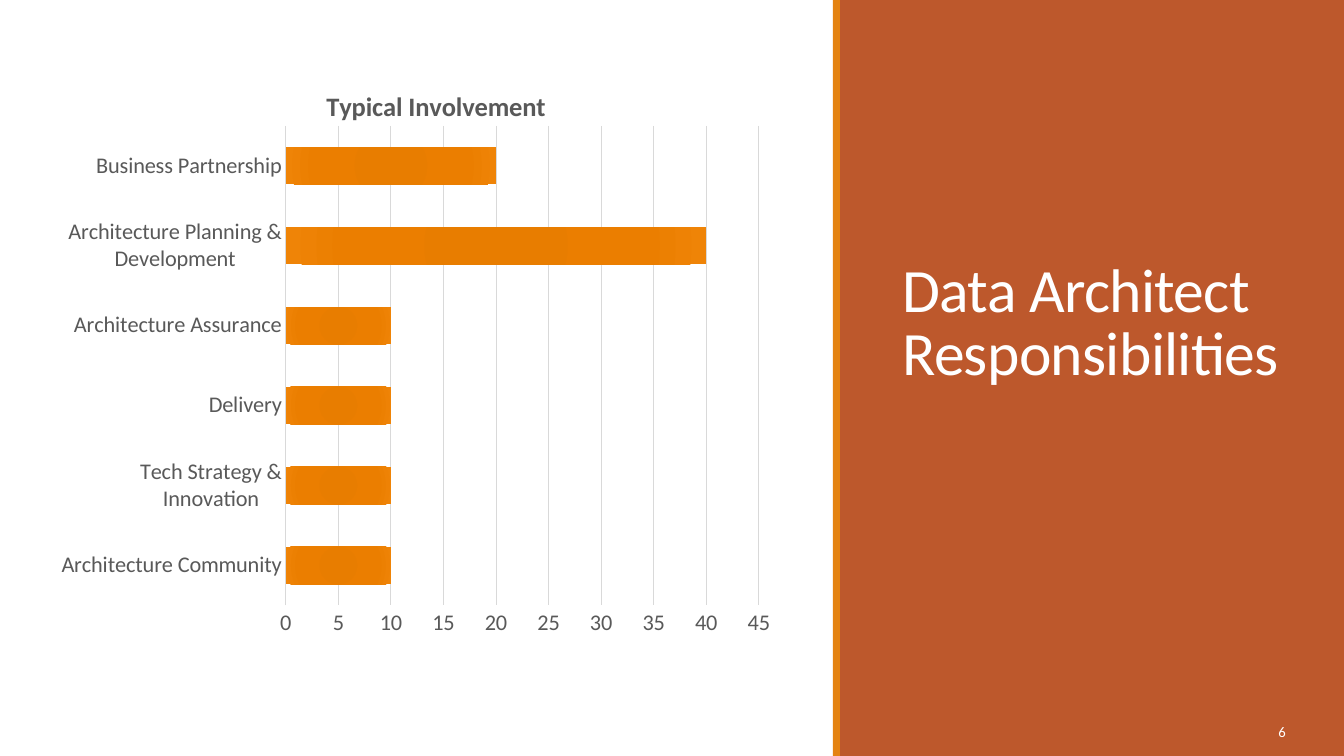
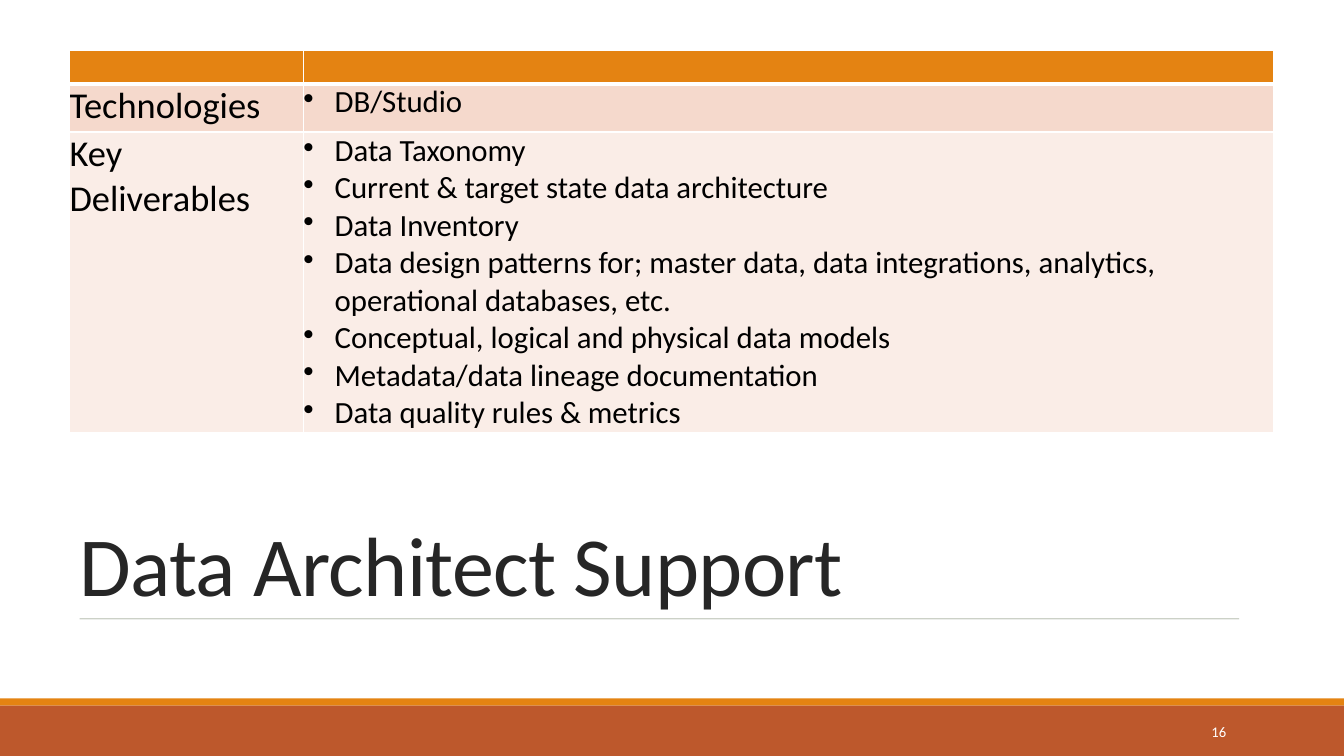
import pptx
import pptx.chart.data
import pptx.dml.color
import pptx.enum.chart
import pptx.enum.shapes
import pptx.enum.text
import pptx.oxml
import pptx.oxml.ns
import pptx.util
from lxml import etree

Inches, Pt = pptx.util.Inches, pptx.util.Pt
PP_ALIGN, MSO_ANCHOR = pptx.enum.text.PP_ALIGN, pptx.enum.text.MSO_ANCHOR
qn = pptx.oxml.ns.qn

FONT = "Calibri"
RUST, ORANGE, WHITE, BLACK = "BD582C", "E48312", "FFFFFF", "000000"
INK, CHART_TEXT, GRID, RULE = "262626", "595959", "D9D9D9", "637052"
WIDTH, HEIGHT = 13.33, 7.5
STRIPE = 0.07

INVOLVEMENT = [
    ("Architecture Community", 10),
    ("Tech Strategy & Innovation", 10),
    ("Delivery", 10),
    ("Architecture Assurance", 10),
    ("Architecture Planning & Development", 40),
    ("Business Partnership", 20),
]
BAR_GRADIENT = [(0, "E57B00"), (34, "E87D00"), (70, "EB7E00"), (100, "EF8407")]

COLUMN_WIDTHS = [2.32, 9.62]
HEADER_HEIGHT = 0.33
SUPPORT = [  # label, bullets, fill, row height
    ("Technologies", ["DB/Studio"], "F5D9CC", 0.48),
    ("Key Deliverables", [
        "Data Taxonomy",
        "Current & target state data architecture",
        "Data Inventory",
        "Data design patterns for; master data, data integrations, analytics, "
        "operational databases, etc.",
        "Conceptual, logical and physical data models",
        "Metadata/data lineage documentation",
        "Data quality rules & metrics",
    ], "FAEDE7", 2.98),
]


def rgb(color):
    return pptx.dml.color.RGBColor.from_string(color)


def set_font(font, size, color, bold=False):
    font.name, font.size, font.bold = FONT, Pt(size), bold
    font.color.rgb = rgb(color)


def add_xml(parent, xml):
    """Append a DrawingML fragment to parent."""
    namespace = pptx.oxml.ns.nsdecls("a", "c")
    tag_end = min(i for i in (xml.find(" "), xml.find(">"), xml.find("/>")) if i > 0)
    parent.append(pptx.oxml.parse_xml(f"{xml[:tag_end]} {namespace}{xml[tag_end:]}"))


def add_band(slide, left, top, width, height, color):
    band = slide.shapes.add_shape(
        pptx.enum.shapes.MSO_SHAPE.RECTANGLE,
        Inches(left), Inches(top), Inches(width), Inches(height))
    band.shadow.inherit = False
    band.fill.solid()
    band.fill.fore_color.rgb = rgb(color)
    band.line.fill.background()


def place_title(slide, text, box, size, color):
    title = slide.shapes.title
    title.left, title.top, title.width, title.height = map(Inches, box)
    frame = title.text_frame
    frame.text = text
    frame.word_wrap = True
    frame.auto_size = pptx.enum.text.MSO_AUTO_SIZE.NONE
    frame.vertical_anchor = MSO_ANCHOR.BOTTOM
    paragraph = frame.paragraphs[0]
    paragraph.alignment = PP_ALIGN.LEFT
    paragraph.line_spacing = 0.85
    set_font(paragraph.font, size, color)
    paragraph.runs[0].font._element.set("spc", "-50")
    slide.shapes._spTree.append(title._element)  # in front of the bands


def add_page_number(slide, number, left, width):
    box = slide.shapes.add_textbox(Inches(left), Inches(7.06), Inches(width), Inches(0.4))
    frame = box.text_frame
    frame.word_wrap = True
    frame.text = str(number)
    frame.vertical_anchor = MSO_ANCHOR.MIDDLE
    paragraph = frame.paragraphs[0]
    paragraph.alignment = PP_ALIGN.RIGHT
    paragraph.space_after = Pt(6)
    set_font(paragraph.font, 10.5, WHITE)


def set_layout(parent, index, **values):
    """Give a chart title or plot area a manual position."""
    for old in parent.findall(qn("c:layout")):
        parent.remove(old)
    layout = etree.Element(qn("c:layout"))
    manual = etree.SubElement(layout, qn("c:manualLayout"))
    for tag, value in values.items():
        etree.SubElement(manual, qn(f"c:{tag}")).set("val", str(value))
    parent.insert(index, layout)


def add_involvement_chart(slide):
    data = pptx.chart.data.CategoryChartData()
    data.categories = [name for name, _ in INVOLVEMENT]
    data.add_series("Series 1", [share for _, share in INVOLVEMENT])
    chart = slide.shapes.add_chart(
        pptx.enum.chart.XL_CHART_TYPE.BAR_CLUSTERED,
        Inches(0.61), Inches(0.7), Inches(7.13), Inches(6.1), data).chart
    set_font(chart.font, 16, BLACK)
    chart.has_legend = False

    heading = chart.chart_title
    heading.text_frame.text = "Typical Involvement"
    set_font(heading.text_frame.paragraphs[0].runs[0].font, 19, CHART_TEXT, bold=True)
    set_layout(heading._element, 1, xMode="edge", yMode="edge", x=0.36, y=0.02)
    set_layout(chart._chartSpace.chart.plotArea, 0, layoutTarget="inner",
               xMode="edge", yMode="edge", x=0.31, y=0.09, w=0.66, h=0.78)

    categories, values = chart.category_axis, chart.value_axis
    for axis in (categories, values):
        axis.major_tick_mark = pptx.enum.chart.XL_TICK_MARK.NONE
        set_font(axis.tick_labels.font, 16, CHART_TEXT)
    categories.format.line.color.rgb = rgb(GRID)
    categories.format.line.width = Pt(1)
    values.minimum_scale, values.maximum_scale, values.major_unit = 0, 45, 5
    values.format.line.fill.background()
    values.major_gridlines.format.line.color.rgb = rgb(GRID)
    values.major_gridlines.format.line.width = Pt(0.75)

    plot = chart.plots[0]
    plot.gap_width, plot.overlap, plot.vary_by_categories = 115, -20, False
    stops = "".join(f'<a:gs pos="{pos * 1000}"><a:srgbClr val="{color}"/></a:gs>'
                    for pos, color in BAR_GRADIENT)
    add_xml(plot.series[0]._element.get_or_add_spPr(),
            f'<a:gradFill><a:gsLst>{stops}</a:gsLst><a:path path="circle">'
            '<a:fillToRect l="100000" t="100000" r="100000" b="100000"/>'
            '</a:path></a:gradFill>')


def style_cell(cell, color, top, bottom):
    cell.margin_left = cell.margin_right = cell.margin_top = cell.margin_bottom = 0
    for side, points in (("L", 1), ("R", 1), ("T", top), ("B", bottom)):
        add_xml(cell._tc.get_or_add_tcPr(),
                f'<a:ln{side} w="{Pt(points)}"><a:solidFill><a:srgbClr val="{WHITE}"/>'
                f'</a:solidFill></a:ln{side}>')
    cell.fill.solid()
    cell.fill.fore_color.rgb = rgb(color)


def write_cell(cell, lines, size, bulleted=False):
    cell.text = "\n".join(lines)
    for paragraph in cell.text_frame.paragraphs:
        set_font(paragraph.font, size, BLACK)
        if bulleted:
            properties = paragraph._p.get_or_add_pPr()
            properties.set("marL", str(Inches(0.31)))
            properties.set("indent", str(-Inches(0.31)))
            bullet = etree.Element(qn("a:buChar"))
            bullet.set("char", "•")
            properties.find(qn("a:defRPr")).addprevious(bullet)


def add_support_table(slide):
    heights = [HEADER_HEIGHT] + [row[3] for row in SUPPORT]
    table = slide.shapes.add_table(
        len(heights), len(COLUMN_WIDTHS), Inches(0.69), Inches(0.5),
        Inches(sum(COLUMN_WIDTHS)), Inches(sum(heights))).table
    for column, width in zip(table.columns, COLUMN_WIDTHS):
        column.width = Inches(width)
    for row, height in zip(table.rows, heights):
        row.height = Inches(height)
    for cell in table.rows[0].cells:
        style_cell(cell, ORANGE, 1, 3)
    for r, (label, bullets, color, _) in enumerate(SUPPORT, start=1):
        for cell in table.rows[r].cells:
            style_cell(cell, color, 3 if r == 1 else 1, 1)
        write_cell(table.cell(r, 0), [label], 26)
        write_cell(table.cell(r, 1), bullets, 22, bulleted=True)


def add_rule(slide, left, right, y):
    rule = slide.shapes.add_connector(
        pptx.enum.shapes.MSO_CONNECTOR.STRAIGHT,
        Inches(left), Inches(y), Inches(right), Inches(y))
    rule.line.color.rgb = rgb(RULE)
    rule.line.width = Pt(0.5)
    color = rule._element.spPr.find(".//" + qn("a:srgbClr"))
    etree.SubElement(color, qn("a:alpha")).set("val", "90000")
    add_xml(rule._element.spPr, "<a:effectLst/>")


def build_responsibilities(slide):
    panel_left = 8.33
    add_band(slide, panel_left, 0, WIDTH - panel_left, HEIGHT, RUST)
    add_band(slide, panel_left - STRIPE, 0, STRIPE, HEIGHT, ORANGE)
    place_title(slide, "Data Architect Responsibilities", (8.85, 0.7, 4, 3.2), 44, WHITE)
    add_page_number(slide, 6, 12.06, 0.79)
    add_involvement_chart(slide)


def build_support(slide):
    footer_top = 7
    add_band(slide, 0, footer_top - STRIPE, WIDTH, STRIPE, ORANGE)
    add_band(slide, 0, footer_top, WIDTH, HEIGHT - footer_top, RUST)
    place_title(slide, "Data Architect Support", (0.69, 4.98, 11.93, 1.16), 60, INK)
    add_rule(slide, 0.79, 12.29, 6.14)
    add_page_number(slide, 16, 10.83, 1.43)
    add_support_table(slide)


def main():
    deck = pptx.Presentation()
    deck.slide_width, deck.slide_height = Inches(WIDTH), Inches(HEIGHT)
    title_only = deck.slide_layouts[5]
    for build in (build_responsibilities, build_support):
        build(deck.slides.add_slide(title_only))
    deck.save("out.pptx")


if __name__ == "__main__":
    main()
